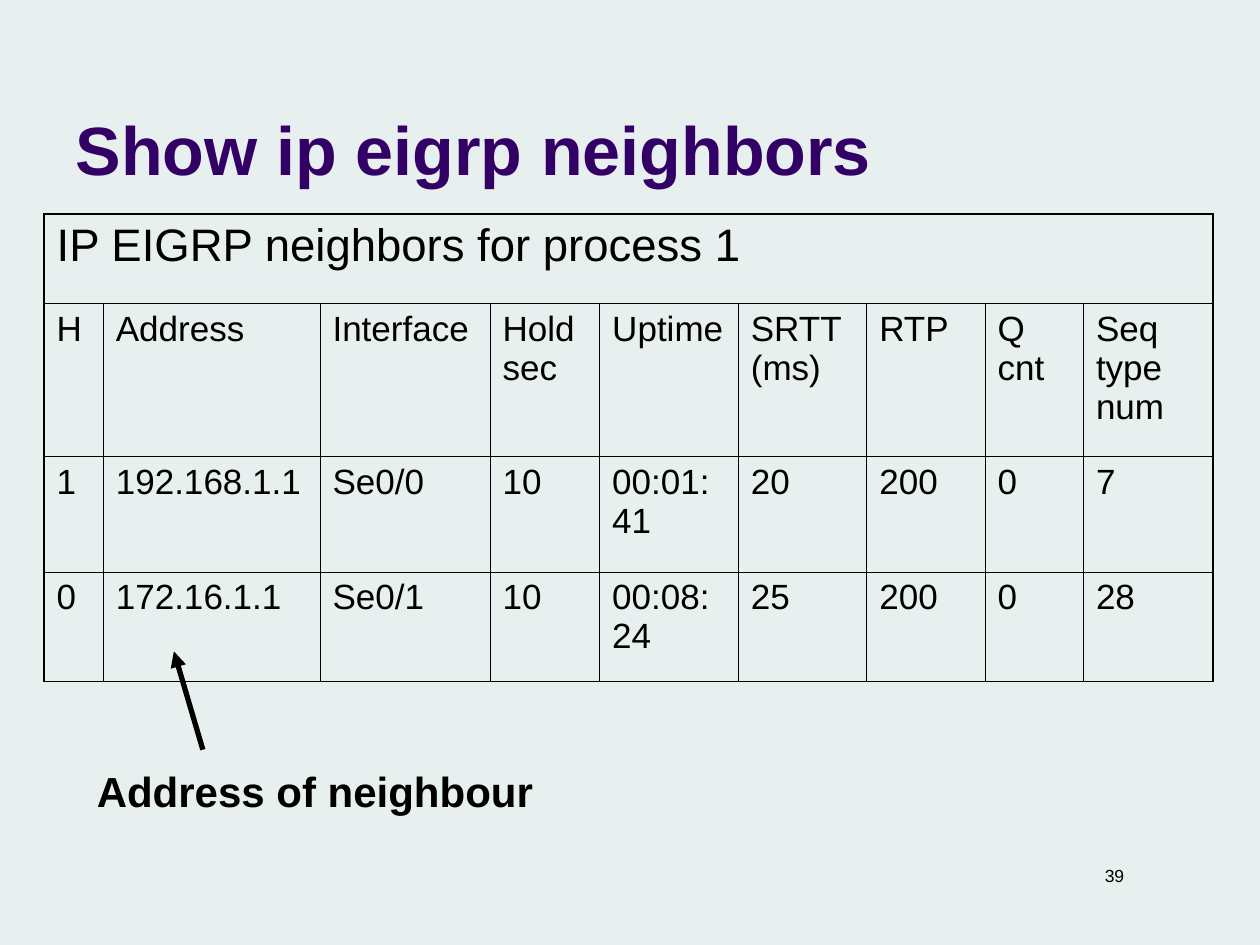
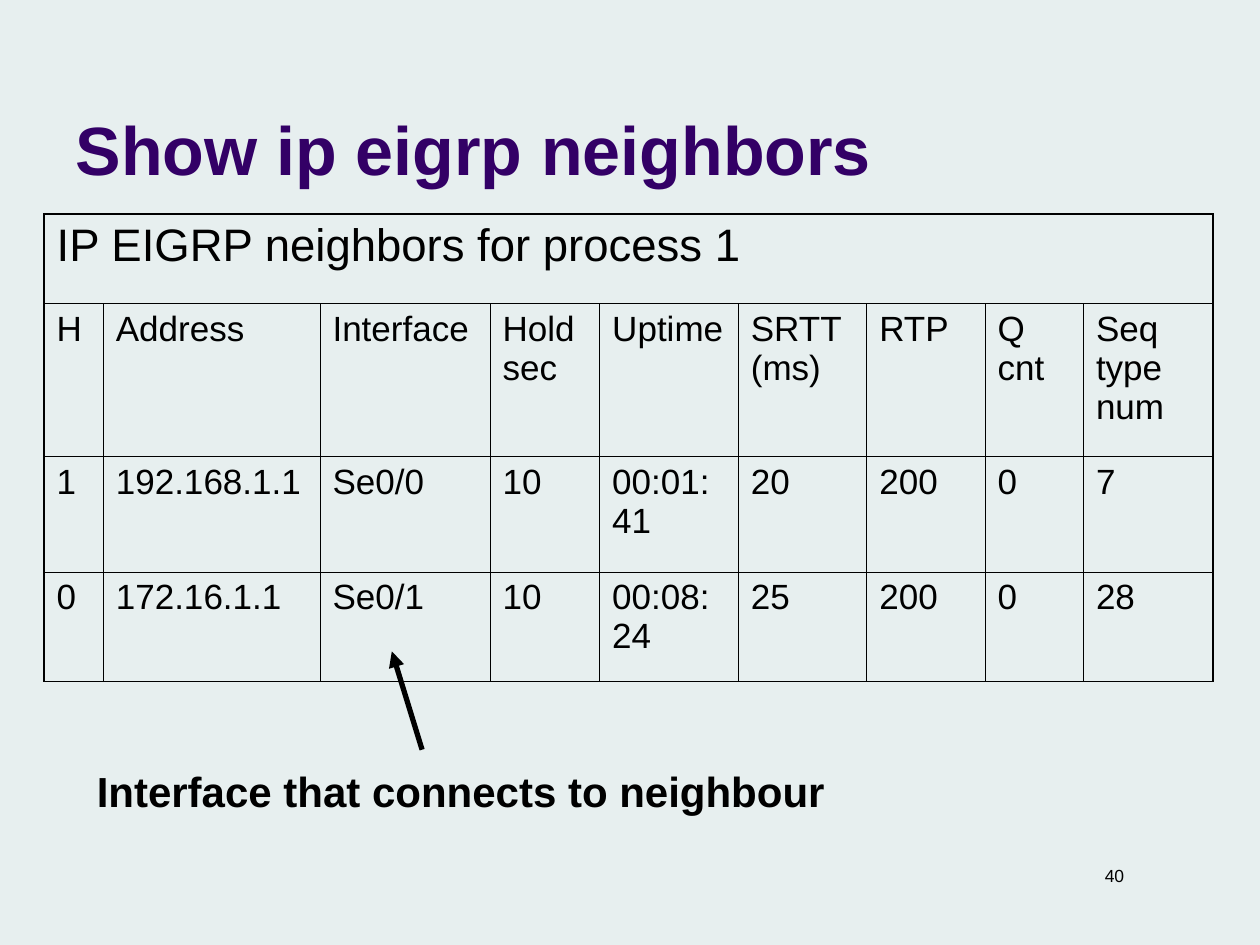
from lxml import etree
from pptx import Presentation
from pptx.dml.color import RGBColor
from pptx.enum.shapes import MSO_CONNECTOR
from pptx.enum.text import MSO_ANCHOR, MSO_AUTO_SIZE, PP_ALIGN
from pptx.oxml.ns import qn
from pptx.util import Inches, Pt

COLORS = {"background": "E7EFEF", "title": "330066", "text": "000000", "line": "000000"}
FONT = "Arial"
THIN, THICK = 0.45, 1.08

TITLE = "Show ip eigrp neighbors"
TABLE_HEADING = "IP EIGRP neighbors for process 1"
NEIGHBOR_ROWS = [
    ["H", "Address", "Interface", "Hold\nsec", "Uptime", "SRTT (ms)", "RTP", "Q cnt", "Seq type num"],
    ["1", "192.168.1.1", "Se0/0", "10", "00:01:41", "20", "200", "0", "7"],
    ["0", "172.16.1.1", "Se0/1", "10", "00:08:24", "25", "200", "0", "28"],
]
COLUMN_WIDTHS = [0.47, 1.72, 1.35, 0.87, 1.1, 1.02, 0.94, 0.78, 1.03]
ROW_HEIGHTS = [0.71, 1.21, 0.92, 0.87]

# Slide number, caption, arrow start x, arrow tip x
CALLOUTS = [
    (39, "Address of neighbour", 1.61, 1.38),
    (40, "Interface that connects to neighbour", 3.35, 3.11),
]


def color(name):
    return RGBColor.from_string(COLORS[name])


class Deck:
    def __init__(self):
        self.presentation = Presentation()
        self.presentation.slide_width = Inches(10)
        self.presentation.slide_height = Inches(7.5)
        fill = self.presentation.slide_master.background.fill
        fill.solid()
        fill.fore_color.rgb = color("background")
        self.slide = None

    def new_slide(self):
        layout = self.presentation.slide_layouts.get_by_name("Title Only")
        self.slide = self.presentation.slides.add_slide(layout)

    def add_text(self, text_frame, text, size, bold=False, ink="text", align=PP_ALIGN.LEFT):
        """Fill the first paragraph, turning newlines into line breaks."""
        paragraph = text_frame.paragraphs[0]
        paragraph.alignment = align
        for index, line in enumerate(text.split("\n")):
            if index:
                paragraph.add_line_break()
            run = paragraph.add_run()
            run.text = line
            run.font.name = FONT
            run.font.size = Pt(size)
            run.font.bold = bold
            run.font.color.rgb = color(ink)

    def title(self, text):
        shape = self.slide.shapes.title
        shape.left, shape.top = Inches(0.5), Inches(0.13)
        shape.width, shape.height = Inches(8.25), Inches(1.42)
        shape.text_frame.auto_size = MSO_AUTO_SIZE.NONE
        shape.text_frame.vertical_anchor = MSO_ANCHOR.BOTTOM
        self.add_text(shape.text_frame, text, 39, bold=True, ink="title")

    def text_box(self, left, top, width, height, text, size, **style):
        shape = self.slide.shapes.add_textbox(
            Inches(left), Inches(top), Inches(width), Inches(height))
        shape.text_frame.word_wrap = True
        self.add_text(shape.text_frame, text, size, **style)

    def cell_borders(self, cell, widths):
        """Draw the left, right, top and bottom borders, widths in points."""
        properties = cell._tc.get_or_add_tcPr()
        for index, (side, width) in enumerate(zip("LRTB", widths)):
            line = etree.Element(qn(f"a:ln{side}"), w=str(Pt(width)))
            fill = etree.SubElement(line, qn("a:solidFill"))
            etree.SubElement(fill, qn("a:srgbClr"), val=COLORS["line"])
            properties.insert(index, line)

    def table(self, left, top, heading, rows):
        """Add a grid under one full-width heading row, with a heavier outline."""
        last_row, last_column = len(rows), len(COLUMN_WIDTHS) - 1
        table = self.slide.shapes.add_table(
            last_row + 1, last_column + 1, Inches(left), Inches(top),
            Inches(sum(COLUMN_WIDTHS)), Inches(sum(ROW_HEIGHTS))).table
        table.first_row = table.horz_banding = False
        for column, width in zip(table.columns, COLUMN_WIDTHS):
            column.width = Inches(width)
        for row, height in zip(table.rows, ROW_HEIGHTS):
            row.height = Inches(height)

        table.cell(0, 0).merge(table.cell(0, last_column))
        self.add_text(table.cell(0, 0).text_frame, heading, 26)
        for r in range(last_row + 1):
            for c in range(last_column + 1):
                cell = table.cell(r, c)
                cell.fill.background()
                on_outline = (c == 0 or r == 0, c == last_column or r == 0,
                              r == 0, r == last_row)
                self.cell_borders(cell, [THICK if edge else THIN for edge in on_outline])
                if r:
                    self.add_text(cell.text_frame, rows[r - 1][c], 20)

    def arrow(self, start, tip):
        connector = self.slide.shapes.add_connector(
            MSO_CONNECTOR.STRAIGHT, *(Inches(value) for value in (*start, *tip)))
        connector.line.color.rgb = color("line")
        connector.line.width = Pt(3)
        etree.SubElement(connector.line._get_or_add_ln(), qn("a:tailEnd"), type="triangle")
        etree.SubElement(connector._element.spPr, qn("a:effectLst"))


def main():
    deck = Deck()
    for number, caption, start_x, tip_x in CALLOUTS:
        deck.new_slide()
        deck.text_box(6.97, 6.82, 2.05, 0.27, str(number), 10, align=PP_ALIGN.RIGHT)
        deck.title(TITLE)
        deck.table(0.35, 1.7, TABLE_HEADING, NEIGHBOR_ROWS)
        deck.text_box(0.67, 6.03, 7.4, 0.5, caption, 24, bold=True)
        deck.arrow((start_x, 5.95), (tip_x, 5.17))
    deck.presentation.save("out.pptx")


if __name__ == "__main__":
    main()
